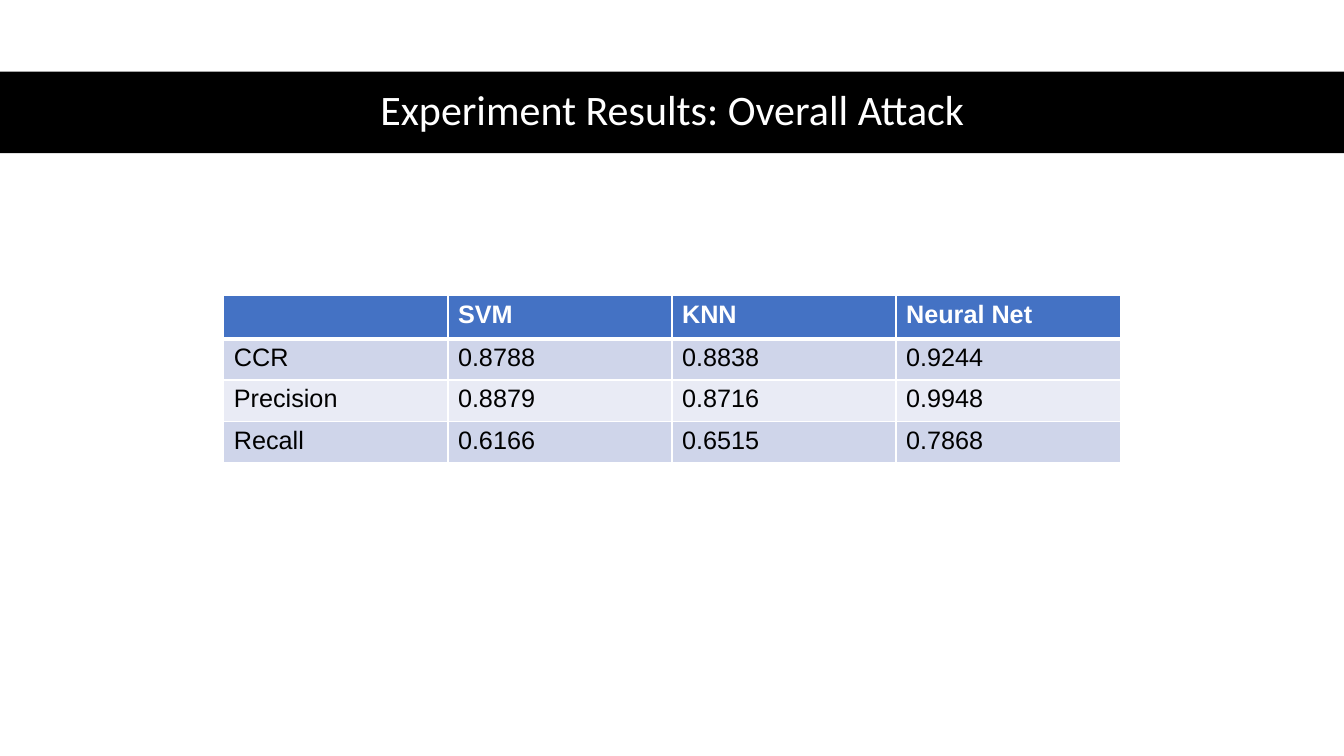
from pptx import Presentation
from pptx.dml.color import RGBColor
from pptx.enum.shapes import MSO_SHAPE
from pptx.enum.text import MSO_ANCHOR, PP_ALIGN
from pptx.oxml import parse_xml
from pptx.oxml.ns import nsdecls
from pptx.util import Inches, Pt

BLACK, WHITE, HEADER_BLUE = "000000", "FFFFFF", "4472C4"
BAND_COLORS = ["CFD5EA", "E9EBF5"]
BAND_TOP, BAND_HEIGHT = 0.71, 0.81
RESULTS = [
    ["", "SVM", "KNN", "Neural Net"],
    ["CCR", "0.8788", "0.8838", "0.9244"],
    ["Precision", "0.8879", "0.8716", "0.9948"],
    ["Recall", "0.6166", "0.6515", "0.7868"],
]


def set_color(color_format, value):
    color_format.rgb = RGBColor.from_string(value)


def set_fill(fill, value):
    fill.solid()
    set_color(fill.fore_color, value)


def write_text(text_frame, text, font="Arial", size=18, color=BLACK,
               bold=False, align=PP_ALIGN.LEFT, line_spacing=None):
    paragraph = text_frame.paragraphs[0]
    paragraph.alignment = align
    paragraph.line_spacing = line_spacing
    if not text:
        return
    run = paragraph.add_run()
    run.text = text
    run.font.name = font
    run.font.size = Pt(size)
    run.font.bold = bold
    set_color(run.font.color, color)


def add_title(slide, text):
    # Full-width band
    band = slide.shapes.add_shape(MSO_SHAPE.RECTANGLE, 0, Inches(BAND_TOP),
                                  Inches(13.33), Inches(BAND_HEIGHT))
    band.shadow.inherit = False
    set_fill(band.fill, BLACK)
    band.line.fill.background()

    # Title text over the band
    title = slide.shapes.add_textbox(Inches(0.54), Inches(BAND_TOP),
                                     Inches(12.26), Inches(BAND_HEIGHT))
    title.text_frame.word_wrap = True
    title.text_frame.vertical_anchor = MSO_ANCHOR.MIDDLE
    write_text(title.text_frame, text, font="Calibri", size=30, color=WHITE,
               align=PP_ALIGN.CENTER, line_spacing=0.9)


def set_borders(cell, top=1, bottom=1):
    properties = cell._tc.get_or_add_tcPr()
    for side, width in (("L", 1), ("R", 1), ("T", top), ("B", bottom)):
        properties.append(parse_xml(
            f'<a:ln{side} {nsdecls("a")} w="{Pt(width)}"><a:solidFill>'
            f'<a:srgbClr val="{WHITE}"/></a:solidFill></a:ln{side}>'))


def add_results_table(slide, rows):
    table = slide.shapes.add_table(len(rows), len(rows[0]), Inches(2.22), Inches(2.93),
                                   Inches(8.89), Inches(1.64)).table
    for row_index, values in enumerate(rows):
        header = row_index == 0
        table.rows[row_index].height = Inches(0.43 if header else 0.41)
        for column_index, value in enumerate(values):
            cell = table.cell(row_index, column_index)
            # Thick rule between the header and the body
            set_borders(cell, top=3 if row_index == 1 else 1, bottom=3 if header else 1)
            set_fill(cell.fill, HEADER_BLUE if header else BAND_COLORS[(row_index - 1) % 2])
            write_text(cell.text_frame, value, bold=header,
                       color=WHITE if header else BLACK)


def main():
    presentation = Presentation()
    presentation.slide_width = Inches(13.33)
    presentation.slide_height = Inches(7.5)
    slide = presentation.slides.add_slide(presentation.slide_layouts[6])
    set_fill(slide.background.fill, WHITE)
    add_title(slide, "Experiment Results: Overall Attack")
    add_results_table(slide, RESULTS)
    presentation.save("out.pptx")


if __name__ == "__main__":
    main()
